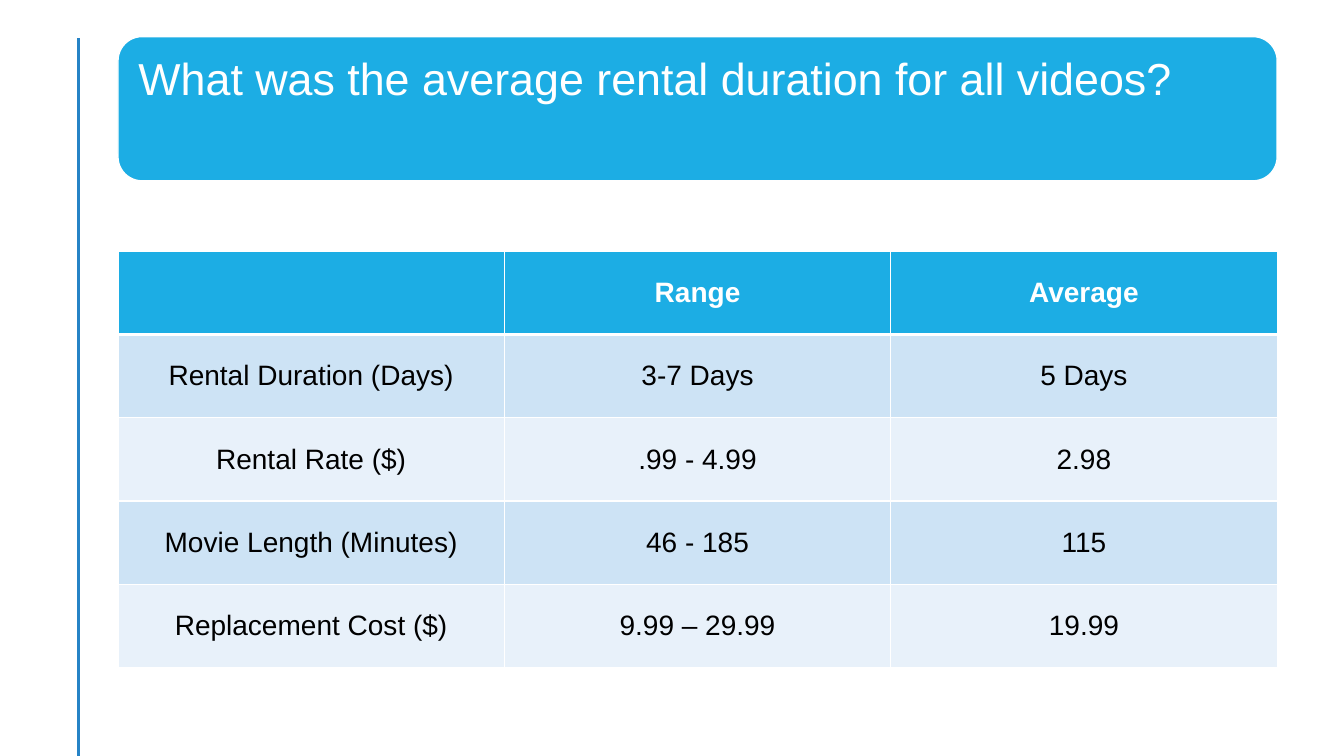
from lxml import etree
from pptx import Presentation
from pptx.dml.color import RGBColor
from pptx.enum import shapes, text
from pptx.oxml.ns import qn
from pptx.util import Pt

COLORS = {
    "white": "FFFFFF",
    "black": "000000",
    "accent": "1CADE4",
    "rule": "2683C6",
    "band_dark": "CDE3F5",
    "band_light": "E8F1FA",
}

ROWS = [
    ("", "Range", "Average"),
    ("Rental Duration (Days)", "3-7 Days", "5 Days"),
    ("Rental Rate ($)", ".99 - 4.99", "2.98"),
    ("Movie Length (Minutes)", "46 - 185", "115"),
    ("Replacement Cost ($)", "9.99 – 29.99", "19.99"),
]


def rgb(name):
    return RGBColor.from_string(COLORS[name])


class SlideBuilder:
    font = "Arial"

    def __init__(self, slide):
        self.s = slide

    def add_run(self, p, words, size, color, bold=False):
        r = p.add_run()
        r.text = words
        r.font.name = self.font
        r.font.size = Pt(size)
        r.font.bold = bold
        r.font.color.rgb = rgb(color)

    def line(self, x1, y1, x2, y2, color, width):
        sp = self.s.shapes.add_connector(
            shapes.MSO_CONNECTOR.STRAIGHT, Pt(x1), Pt(y1), Pt(x2), Pt(y2))
        sp.line.color.rgb = rgb(color)
        sp.line.width = Pt(width)
        etree.SubElement(sp.element.spPr, qn("a:effectLst"))

    def banner(self, x, y, w, h, words, size, inset):
        sp = self.s.shapes.add_shape(
            shapes.MSO_SHAPE.ROUNDED_RECTANGLE, Pt(x), Pt(y), Pt(w), Pt(h))
        sp.shadow.inherit = False
        sp.fill.solid()
        sp.fill.fore_color.rgb = rgb("accent")
        sp.line.color.rgb = rgb("white")
        sp.line.width = Pt(1)
        tf = sp.text_frame
        tf.word_wrap = True
        tf.vertical_anchor = text.MSO_ANCHOR.TOP
        tf.margin_left = tf.margin_right = Pt(inset)
        tf.margin_top = tf.margin_bottom = Pt(inset)
        p = tf.paragraphs[0]
        p.alignment = text.PP_ALIGN.LEFT
        p.line_spacing = 0.9
        self.add_run(p, words, size, "white")

    def cell_borders(self, cell, top, bottom):
        tcPr = cell._tc.get_or_add_tcPr()
        widths = {"a:lnL": 1, "a:lnR": 1, "a:lnT": top, "a:lnB": bottom}
        for i, (tag, width) in enumerate(widths.items()):
            ln = etree.Element(qn(tag), w=str(Pt(width)))
            fill = etree.SubElement(ln, qn("a:solidFill"))
            etree.SubElement(fill, qn("a:srgbClr"), val=COLORS["white"])
            tcPr.insert(i, ln)  # borders must precede the fill

    def table(self, x, y, col_w, row_h, rows, size):
        n_rows, n_cols = len(rows), len(rows[0])
        tbl = self.s.shapes.add_table(
            n_rows, n_cols, Pt(x), Pt(y), Pt(col_w * n_cols), Pt(row_h * n_rows)).table
        for col in tbl.columns:
            col.width = Pt(col_w)
        for i, values in enumerate(rows):
            tbl.rows[i].height = Pt(row_h)
            header = i == 0
            band = "accent" if header else "band_dark" if i % 2 else "band_light"
            for j, words in enumerate(values):
                cell = tbl.cell(i, j)
                cell.fill.solid()
                cell.fill.fore_color.rgb = rgb(band)
                self.cell_borders(cell, 3 if i == 1 else 1, 3 if header else 1)
                cell.vertical_anchor = text.MSO_ANCHOR.MIDDLE
                p = cell.text_frame.paragraphs[0]
                p.alignment = text.PP_ALIGN.CENTER
                if words:
                    self.add_run(p, words, size, "white" if header else "black", header)


def main():
    prs = Presentation()
    prs.slide_width, prs.slide_height = Pt(960), Pt(540)
    b = SlideBuilder(prs.slides.add_slide(prs.slide_layouts[6]))

    # Vertical rule at the left margin
    b.line(56, 27.5, 56, 540, "rule", 2)

    # Title banner
    b.banner(84.3, 26.2, 828, 103, "What was the average rental duration for all videos?", 32, 9.6)

    # Rental statistics
    b.table(84.3, 179.4, 276, 59.5, ROWS, 20)

    prs.save("out.pptx")


if __name__ == "__main__":
    main()
